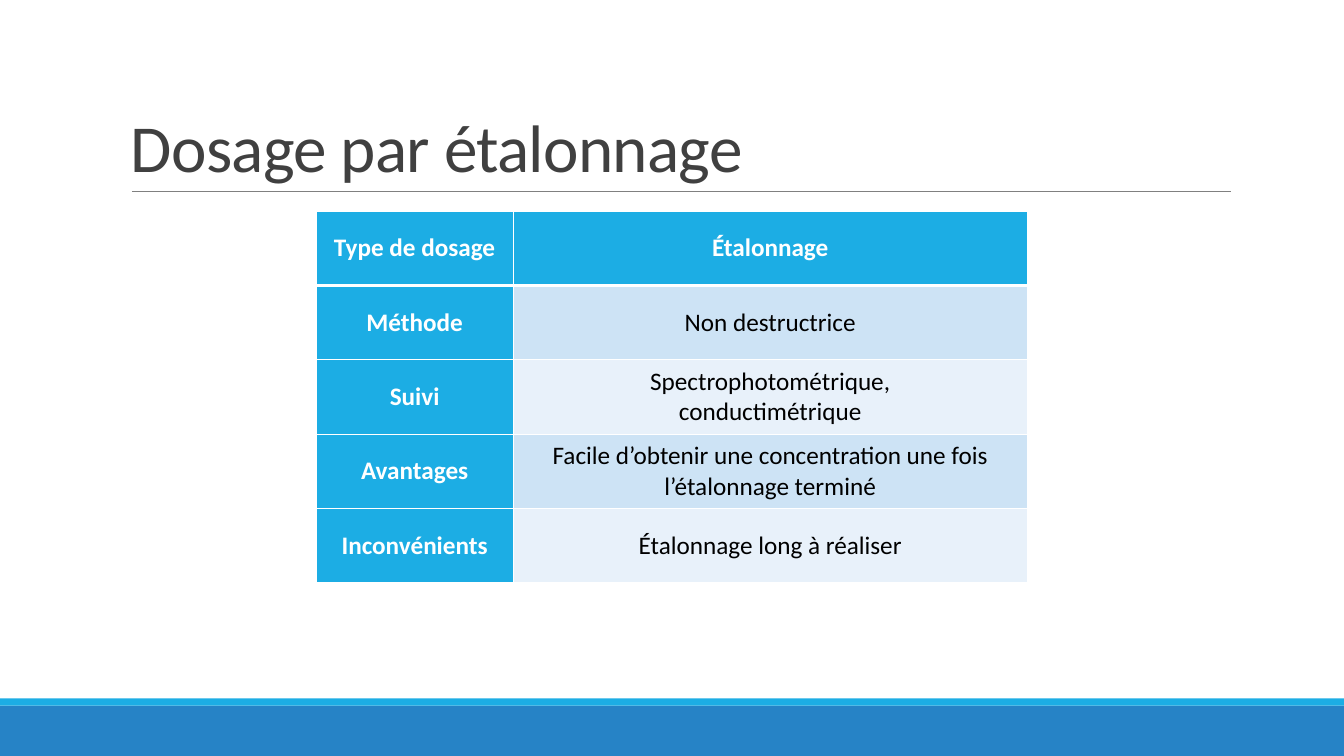
from dataclasses import dataclass

from lxml.etree import SubElement
from pptx import Presentation
from pptx.dml.color import RGBColor
from pptx.enum.shapes import MSO_CONNECTOR as Connector, MSO_SHAPE as Shape
from pptx.enum.text import MSO_ANCHOR as Anchor, PP_ALIGN as Align
from pptx.oxml.ns import qn
from pptx.slide import Slide
from pptx.table import _Cell as Cell
from pptx.util import Pt

WHITE = RGBColor(0xFF, 0xFF, 0xFF)
BLACK = RGBColor(0x00, 0x00, 0x00)
TITLE_GREY = RGBColor(0x40, 0x40, 0x40)
RULE_GREY = RGBColor(0x80, 0x80, 0x80)
CYAN = RGBColor(0x1C, 0xAD, 0xE4)
BLUE = RGBColor(0x26, 0x83, 0xC6)
BAND_DARK = RGBColor(0xCD, 0xE3, 0xF5)
BAND_LIGHT = RGBColor(0xE8, 0xF1, 0xFA)

FONT = "Calibri"
SLIDE_WIDTH, SLIDE_HEIGHT = 960, 540
COLUMN_WIDTHS = (141, 367)
ROW_HEIGHT = 53.1


@dataclass(frozen=True)
class Band:
    top: float
    height: float
    color: RGBColor


@dataclass(frozen=True)
class Criterion:
    label: str
    lines: tuple[str, ...]


FOOTER_BANDS = (Band(504, 36, BLUE), Band(498.8, 5.2, CYAN))

CRITERIA = (
    Criterion("Type de dosage", ("Étalonnage",)),
    Criterion("Méthode", ("Non destructrice",)),
    Criterion("Suivi", ("Spectrophotométrique,", "conductimétrique")),
    Criterion("Avantages", ("Facile d’obtenir une concentration une fois l’étalonnage terminé",)),
    Criterion("Inconvénients", ("Étalonnage long à réaliser",)),
)


def draw_band(slide: Slide, band: Band) -> None:
    footer = slide.shapes.add_shape(
        Shape.RECTANGLE, 0, Pt(band.top), Pt(SLIDE_WIDTH), Pt(band.height))
    footer.shadow.inherit = False
    footer.fill.solid()
    footer.fill.fore_color.rgb = band.color
    footer.line.fill.background()


def draw_title(slide: Slide) -> None:
    title = slide.shapes.add_textbox(Pt(86.4), Pt(22.4), Pt(792), Pt(114.4))
    frame = title.text_frame
    frame.word_wrap = True
    frame.vertical_anchor = Anchor.BOTTOM
    paragraph = frame.paragraphs[0]
    paragraph.line_spacing = 0.85
    run = paragraph.add_run()
    run.text = "Dosage par étalonnage"
    run.font.name, run.font.size = FONT, Pt(48)
    run.font.color.rgb = TITLE_GREY
    run.font._element.set("spc", "-50")

    rule = slide.shapes.add_connector(
        Connector.STRAIGHT, Pt(94.3), Pt(136.8), Pt(879), Pt(136.8))
    rule.line.color.rgb = RULE_GREY
    rule.line.width = Pt(0.5)
    SubElement(rule._element.spPr, qn("a:effectLst"))


def set_borders(cell: Cell, top: float, bottom: float) -> None:
    properties = cell._tc.get_or_add_tcPr()
    widths = {"a:lnL": 1, "a:lnR": 1, "a:lnT": top, "a:lnB": bottom}
    for position, (side, width) in enumerate(widths.items()):
        border = SubElement(properties, qn(side), w=str(Pt(width)))
        fill = SubElement(border, qn("a:solidFill"))
        SubElement(fill, qn("a:srgbClr"), val=str(WHITE))
        properties.insert(position, border)


def fill_cell(cell: Cell, lines: tuple[str, ...], fill: RGBColor, strong: bool) -> None:
    cell.fill.solid()
    cell.fill.fore_color.rgb = fill
    cell.vertical_anchor = Anchor.MIDDLE
    frame = cell.text_frame
    for index, line in enumerate(lines):
        paragraph = frame.add_paragraph() if index else frame.paragraphs[0]
        paragraph.alignment = Align.CENTER
        run = paragraph.add_run()
        run.text = line
        run.font.name, run.font.size = FONT, Pt(18)
        run.font.bold = strong
        run.font.color.rgb = WHITE if strong else BLACK


def draw_criteria(slide: Slide) -> None:
    table = slide.shapes.add_table(
        len(CRITERIA), len(COLUMN_WIDTHS), Pt(225.7), Pt(150.8),
        Pt(sum(COLUMN_WIDTHS)), Pt(ROW_HEIGHT * len(CRITERIA))).table
    table.first_col = True
    for column, width in zip(table.columns, COLUMN_WIDTHS):
        column.width = Pt(width)
    for index, criterion in enumerate(CRITERIA):
        table.rows[index].height = Pt(ROW_HEIGHT)
        is_header = index == 0
        band = BAND_DARK if index % 2 else BAND_LIGHT
        label, value = table.cell(index, 0), table.cell(index, 1)
        fill_cell(label, (criterion.label,), CYAN, True)
        fill_cell(value, criterion.lines, CYAN if is_header else band, is_header)
        for cell in (label, value):
            set_borders(cell, top=3 if index == 1 else 1, bottom=3 if is_header else 1)


def main() -> None:
    deck = Presentation()
    deck.slide_width, deck.slide_height = Pt(SLIDE_WIDTH), Pt(SLIDE_HEIGHT)
    slide = deck.slides.add_slide(deck.slide_layouts[6])

    # Footer bands
    for band in FOOTER_BANDS:
        draw_band(slide, band)

    # Title and rule
    draw_title(slide)

    # Table of criteria
    draw_criteria(slide)

    deck.save("out.pptx")


if __name__ == "__main__":
    main()
